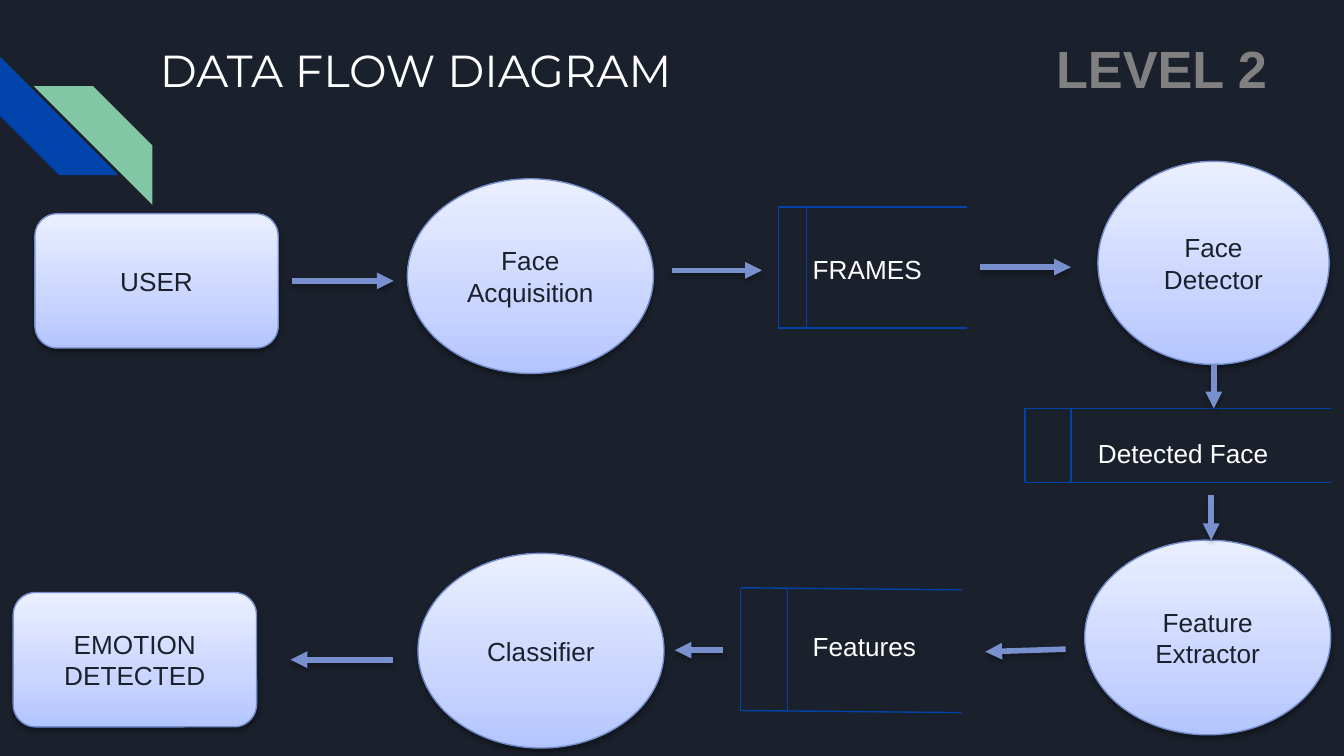
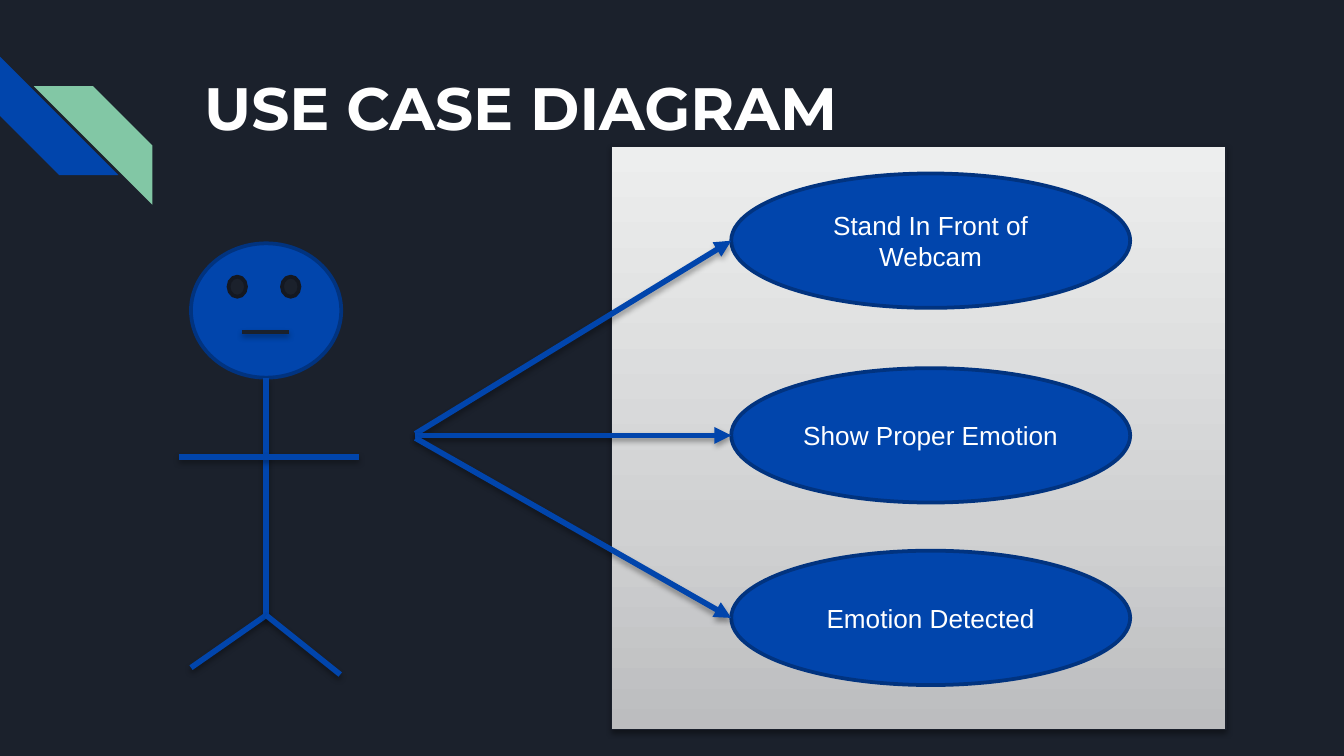
from copy import deepcopy
from dataclasses import dataclass, field
from typing import Optional

from lxml import etree
from pptx import Presentation
from pptx.dml.color import RGBColor
from pptx.enum.shapes import MSO_CONNECTOR as Connector, MSO_SHAPE as Preset
from pptx.enum.text import MSO_ANCHOR as Anchor, MSO_AUTO_SIZE as AutoSize, PP_ALIGN as Align
from pptx.oxml.ns import qn
from pptx.util import Cm, Pt


@dataclass(frozen=True)
class Theme:
    background: str = "1B212C"
    white: str = "FFFFFF"
    blue: str = "0145AC"
    blue_edge: str = "01337F"
    green: str = "82C7A5"
    store_line: str = "0043A9"
    flow: str = "7890CD"
    node_edge: str = "738CCB"
    node_fill: tuple[str, ...] = ("B3C5FF", "C9D5FF", "EAEFFF")
    panel_edge: str = "1A202B"
    panel_fill: tuple[str, ...] = ("BCBDBF", "D0D1D2", "EDEEEE")
    eye_edge: str = "141821"
    level: str = "808080"
    gradient_positions: tuple[float, ...] = (0, 0.35, 1)
    title_font: str = "Montserrat"
    body_font: str = "Arial"
    body_size: float = 14
    level_size: float = 28
    thin: float = 0.75
    medium: float = 2
    thick: float = 3


THEME = Theme()


@dataclass(frozen=True)
class Shadow:
    distance: float
    opacity: int
    blur: float = 3.1


SHAPE_SHADOW = Shadow(1.6, 38)
LINE_SHADOW = Shadow(1.8, 35)


@dataclass(frozen=True)
class Box:
    left: float
    top: float
    width: float
    height: float

    def lengths(self) -> tuple:
        return Cm(self.left), Cm(self.top), Cm(self.width), Cm(self.height)


@dataclass(frozen=True)
class TextStyle:
    size: float = THEME.body_size
    color: str = THEME.white
    font: str = THEME.body_font
    bold: bool = False


@dataclass(frozen=True)
class ShapeStyle:
    fill: tuple[str, ...]
    edge: str
    width: float = THEME.thin
    shadow: Optional[Shadow] = None
    text: TextStyle = field(default_factory=TextStyle)


@dataclass(frozen=True)
class LineStyle:
    color: str
    width: float = THEME.thick
    arrow: bool = False
    shadow: Optional[Shadow] = LINE_SHADOW


@dataclass(frozen=True)
class Node:
    text: str
    preset: Preset
    box: Box


@dataclass(frozen=True)
class Segment:
    x1: float
    y1: float
    x2: float
    y2: float


@dataclass(frozen=True)
class DataStore:
    """An open-ended store; drop lowers the right end of its long edges."""
    text: str
    label: Box
    left: float
    divider: float
    right: float
    top: float
    bottom: float
    drop: float = 0

    def edges(self) -> list[Segment]:
        across = [Segment(self.left, y, self.right, y + self.drop) for y in (self.top, self.bottom)]
        down = [Segment(x, self.top, x, self.bottom) for x in (self.left, self.divider)]
        return across + down


NODE = ShapeStyle(THEME.node_fill, THEME.node_edge, shadow=SHAPE_SHADOW,
                  text=TextStyle(color=THEME.background))
PANEL = ShapeStyle(THEME.panel_fill, THEME.panel_edge, shadow=SHAPE_SHADOW)
USE_CASE = ShapeStyle((THEME.blue,), THEME.blue_edge, THEME.medium)
EYE = ShapeStyle((THEME.background,), THEME.eye_edge, THEME.medium)

FLOW = LineStyle(THEME.flow, arrow=True)
STORE_EDGE = LineStyle(THEME.store_line, THEME.thin, shadow=None)
LIMB = LineStyle(THEME.blue)
MOUTH = LineStyle(THEME.background, THEME.medium, shadow=SHAPE_SHADOW)
USE_ARROW = LineStyle(THEME.blue, arrow=True)

NODES = [
    Node("USER", Preset.ROUNDED_RECTANGLE, Box(0.66, 4.04, 4.6, 2.54)),
    Node("EMOTION DETECTED", Preset.ROUNDED_RECTANGLE, Box(0.25, 11.2, 4.6, 2.54)),
    Node("Face Acquisition", Preset.OVAL, Box(7.7, 3.38, 4.65, 3.68)),
    Node("Face Detector", Preset.OVAL, Box(20.75, 3.05, 4.37, 3.84)),
    Node("Feature Extractor", Preset.OVAL, Box(20.5, 10.21, 4.65, 3.68)),
    Node("Classifier", Preset.OVAL, Box(7.9, 10.46, 4.65, 3.68)),
]
STORES = [
    DataStore("FRAMES", Box(15.11, 4.67, 2.62, 0.86), 14.71, 15.24, 18.28, 3.91, 6.2),
    DataStore("Detected Face", Box(20.5, 8.15, 4.24, 0.86), 19.37, 20.24, 25.15, 7.72, 9.12),
    DataStore("Features", Box(15.11, 11.79, 3.4, 0.86), 14, 14.88, 18.17, 11.11, 13.43, 0.04),
]
FLOWS = [
    Segment(5.51, 5.31, 7.44, 5.31),
    Segment(12.7, 5.11, 14.4, 5.11),
    Segment(18.52, 5.05, 20.24, 5.05),
    Segment(22.94, 6.88, 22.94, 7.72),
    Segment(22.89, 9.35, 22.89, 10.21),
    Segment(20.14, 12.27, 18.62, 12.32),
    Segment(13.67, 12.29, 12.75, 12.29),
    Segment(7.42, 12.47, 5.49, 12.47),
]
LIMBS = [
    Segment(5.03, 7.14, 5.03, 11.68),
    Segment(3.38, 8.64, 6.78, 8.64),
    Segment(5.03, 11.63, 3.61, 12.62),
    Segment(5.03, 11.63, 6.43, 12.75),
]
USE_CASES = [
    # text, top of the oval, start height of its arrow
    ("Stand In Front of Webcam", 3.28, 8.2),
    ("Show Proper Emotion", 6.96, 8.23),
    ("Emotion Detected", 10.41, 8.28),
]


def rgb(color: str) -> RGBColor:
    return RGBColor.from_string(color)


def add_run(paragraph, text: str, style: TextStyle) -> None:
    run = paragraph.add_run()
    run.text = text
    run.font.name = style.font
    run.font.size = Pt(style.size)
    run.font.bold = style.bold
    run.font.color.rgb = rgb(style.color)


def add_effects(properties, shadow: Optional[Shadow]) -> None:
    """Give shape properties an effect list, empty when there is no shadow."""
    effects = properties.find(qn("a:effectLst"))
    if effects is None:
        effects = etree.SubElement(properties, qn("a:effectLst"))
    if shadow:
        outer = etree.SubElement(effects, qn("a:outerShdw"), blurRad=str(Pt(shadow.blur)),
                                 dist=str(Pt(shadow.distance)), dir="5400000", rotWithShape="0")
        color = etree.SubElement(outer, qn("a:srgbClr"), val="000000")
        etree.SubElement(color, qn("a:alpha"), val=str(shadow.opacity * 1000))


def paint(shape, colors: tuple[str, ...]) -> None:
    """Fill with one colour, or with a three-stop gradient rising from the bottom."""
    if len(colors) == 1:
        shape.fill.solid()
        shape.fill.fore_color.rgb = rgb(colors[0])
        return
    shape.fill.gradient()
    shape.fill.gradient_angle = 90
    stop_list = shape.element.spPr.find(".//" + qn("a:gsLst"))
    stop_list.append(deepcopy(stop_list[-1]))
    for stop, color, position in zip(shape.fill.gradient_stops, colors, THEME.gradient_positions):
        stop.color.rgb = rgb(color)
        stop.position = position


def add_shape(slide, preset: Preset, box: Box, style: ShapeStyle, text: str = ""):
    shape = slide.shapes.add_shape(preset, *box.lengths())
    paint(shape, style.fill)
    shape.line.color.rgb = rgb(style.edge)
    shape.line.width = Pt(style.width)
    shape.shadow.inherit = False
    add_effects(shape.element.spPr, style.shadow)
    if text:
        frame = shape.text_frame
        frame.word_wrap = True
        frame.vertical_anchor = Anchor.MIDDLE
        frame.paragraphs[0].alignment = Align.CENTER
        add_run(frame.paragraphs[0], text, style.text)


def add_line(slide, segment: Segment, style: LineStyle) -> None:
    connector = slide.shapes.add_connector(
        Connector.STRAIGHT, Cm(segment.x1), Cm(segment.y1), Cm(segment.x2), Cm(segment.y2))
    connector.line.color.rgb = rgb(style.color)
    connector.line.width = Pt(style.width)
    properties = connector.element.spPr
    if style.arrow:
        etree.SubElement(properties.find(qn("a:ln")), qn("a:tailEnd"), type="triangle")
    add_effects(properties, style.shadow)


def add_label(slide, text: str, box: Box, style: TextStyle = TextStyle()) -> None:
    frame = slide.shapes.add_textbox(*box.lengths()).text_frame
    frame.word_wrap = True
    frame.auto_size = AutoSize.SHAPE_TO_FIT_TEXT
    add_run(frame.paragraphs[0], text, style)


def add_titled_slide(presentation, text: str, left: float, top: float, size: float, bold: bool):
    slide = presentation.slides.add_slide(presentation.slide_layouts[5])
    title = slide.shapes.title
    title.left, title.top, title.width, title.height = Box(left, top, 19.56, 2.54).lengths()
    frame = title.text_frame
    frame.auto_size = AutoSize.NONE
    frame.vertical_anchor = Anchor.TOP
    frame.margin_left = frame.margin_right = frame.margin_top = frame.margin_bottom = Cm(0.25)
    frame.paragraphs[0].alignment = Align.LEFT
    add_run(frame.paragraphs[0], text, TextStyle(size, THEME.white, THEME.title_font, bold))
    return slide


def move_stripes_to_layout(slide) -> None:
    """Draw the corner stripes and hand them to the layout, which all slides share."""
    for left, top, rotation, color in ((0, 1.07, 270, THEME.blue), (0.64, 1.63, 90, THEME.green)):
        stripe = slide.shapes.add_shape(Preset.DIAGONAL_STRIPE, *Box(left, top, 2.24, 2.24).lengths())
        stripe.rotation = rotation
        paint(stripe, (color,))
        stripe.line.fill.background()
        stripe.shadow.inherit = False
        slide.slide_layout.shapes.element.append(stripe.element)


def build_data_flow(presentation) -> None:
    slide = add_titled_slide(presentation, "DATA FLOW DIAGRAM", 2.77, 0.56, 24, False)
    move_stripes_to_layout(slide)
    add_label(slide, "LEVEL 2", Box(19.71, 0.56, 6.48, 1.45),
              TextStyle(THEME.level_size, THEME.level, bold=True))
    for node in NODES:
        add_shape(slide, node.preset, node.box, NODE, node.text)
    for store in STORES:
        for edge in store.edges():
            add_line(slide, edge, STORE_EDGE)
        add_label(slide, store.text, store.label)
    for flow in FLOWS:
        add_line(slide, flow, FLOW)


def build_use_cases(presentation) -> None:
    slide = add_titled_slide(presentation, "USE CASE DIAGRAM", 3.61, 1.09, 32, True)
    add_shape(slide, Preset.RECTANGLE, Box(11.56, 2.77, 11.61, 11.02), PANEL)
    add_shape(slide, Preset.OVAL, Box(3.61, 4.6, 2.84, 2.54), USE_CASE)
    for limb in LIMBS:
        add_line(slide, limb, LIMB)
    for eye_left in (4.32, 5.33):
        add_shape(slide, Preset.OVAL, Box(eye_left, 5.23, 0.33, 0.38), EYE)
    add_line(slide, Segment(4.57, 6.27, 5.46, 6.27), MOUTH)
    for text, top, start in USE_CASES:
        oval = Box(13.82, top, 7.54, 2.54)
        add_shape(slide, Preset.OVAL, oval, USE_CASE, text)
        add_line(slide, Segment(7.85, start, oval.left, top + oval.height / 2), USE_ARROW)


def main() -> None:
    presentation = Presentation()
    presentation.slide_width, presentation.slide_height = Cm(25.4), Cm(14.29)
    background = presentation.slide_master.background.fill
    background.solid()
    background.fore_color.rgb = rgb(THEME.background)
    build_data_flow(presentation)
    build_use_cases(presentation)
    presentation.save("out.pptx")


if __name__ == "__main__":
    main()
